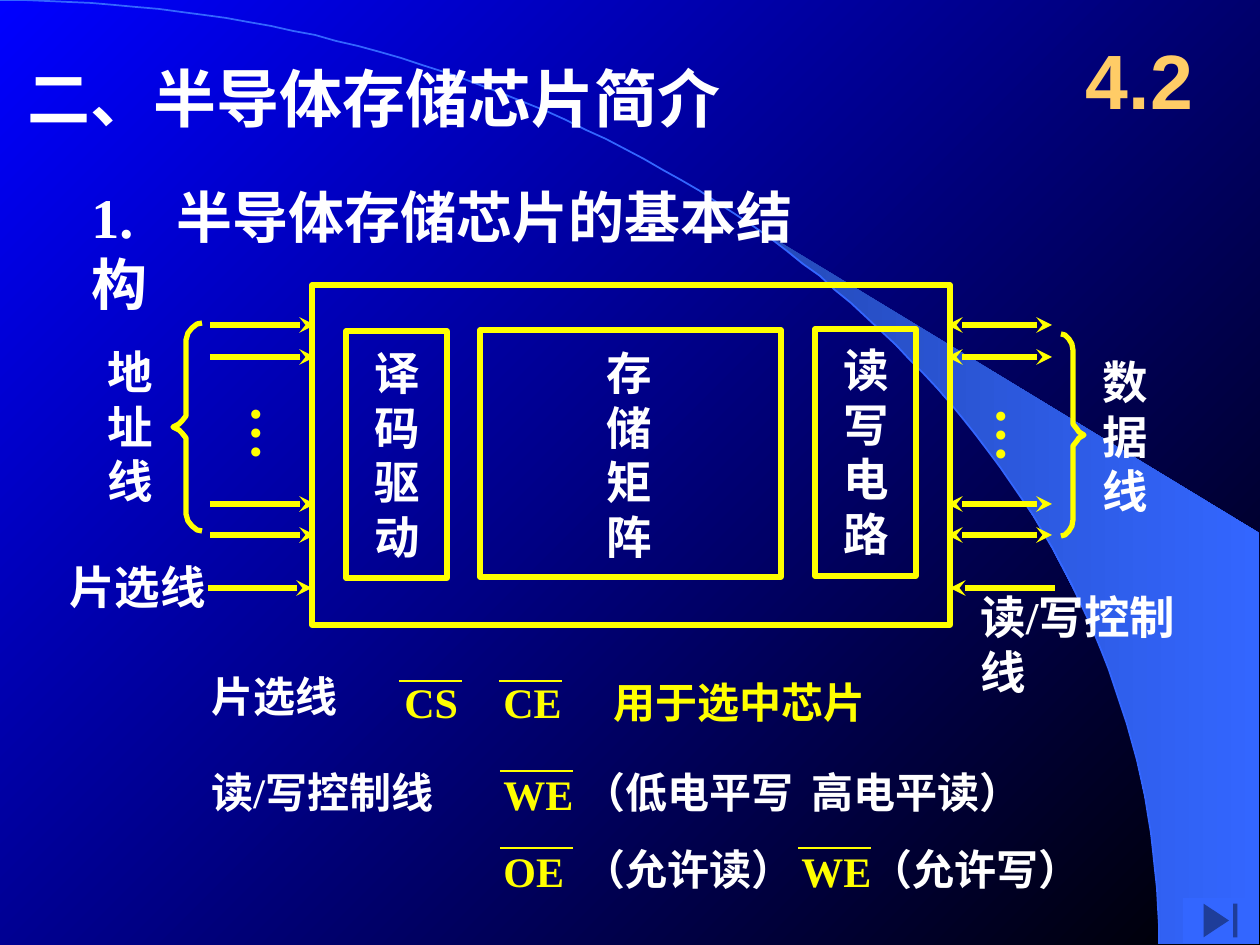
from math import asin, cos, pi, sin
from lxml.etree import SubElement
from pptx import Presentation
from pptx.dml.color import RGBColor
from pptx.enum.shapes import MSO_CONNECTOR, MSO_SHAPE
from pptx.enum.text import MSO_ANCHOR, MSO_AUTO_SIZE, PP_ALIGN
from pptx.oxml.ns import qn
from pptx.util import Pt

PX = 7257.14
WHITE, YELLOW, GOLD, BLUE, DEEP_BLUE = "FFFFFF", "FFFF00", "FFCC66", "3366FF", "2449B6"

TITLE = ("二、半导体存储芯片简介", (15, 53, 721, 88))
CHIP = (312, 285, 638, 340)
BLOCKS = [
    ("译码驱动", (346, 331, 101, 247), (362, 339, 71, 232)),
    ("存储矩阵", (480, 330, 301, 247), (594, 339, 74, 232)),
    ("读写电路", (815, 329, 101, 247), (831, 336, 71, 232)),
]
SIDE_LABELS = [("地址线", (95, 338, 68, 176)), ("数据线", (1090, 348, 71, 176))]
LABELS = [
    ("1.\t半导体存储芯片的基本结构", (79, 176, 735, 80), dict(size=32, wrap=True, tab=85)),
    ("片选线", (57, 553, 163, 67), dict(size=26)),
    ("读/写控制线", (968, 583, 240, 67), dict(size=26, wrap=True)),
    ("…", (223, 393, 92, 69), dict(size=32, color=YELLOW, vertical=True)),
    ("…", (968, 395, 92, 69), dict(size=32, color=YELLOW, vertical=True)),
    ("4.2", (1061, 21, 157, 116),
     dict(size=44, color=GOLD, font="Arial", align=PP_ALIGN.CENTER, anchor=MSO_ANCHOR.MIDDLE)),
    ("片选线", (199, 664, 200, 63), dict(wrap=True)),
    ("读/写控制线", (199, 760, 280, 63), dict(wrap=True)),
    ("（低电平写\t高电平读）", (571, 760, 581, 63), dict(wrap=True, tab=228)),
    ("（允许读）", (571, 837, 307, 63), dict(wrap=True)),
    ("（允许写）", (858, 837, 307, 63), dict(wrap=True)),
]
SIGNALS = [
    ("CS", (392, 670, 79, 63), 399, 63, {}),
    ("CE\t用于选中芯片", (491, 670, 456, 63), 499, 63, dict(wrap=True, tab=110)),
    ("WE", (491, 762, 96, 63), 500, 73, {}),
    ("WE", (789, 839, 96, 63), 798, 73, {}),
    ("OE", (491, 839, 86, 63), 500, 73, {}),
]
BUS_ROWS = [325, 357, 504, 535]
CONTROL_ROW = 588
BRACES = [(202, 173, 427, 104), (1061, 1084, 435, 101)]
BRACE_HALF = [(0, 1), (0.18, 0.99), (0.33, 0.95), (0.48, 0.9), (0.54, 0.84),
              (0.54, 0.16), (0.54, 0.11), (0.68, 0.06), (0.78, 0.03), (1, 0)]
ARC_WIDTH, ARC_HEIGHT = 1159, 944
BAND_START, BAND_RIGHT, BAND_CORNER = 742, 1259, 533


def emu(pixels):
    return round(pixels * PX)


def rgb(value):
    return RGBColor.from_string(value)


def place(shape, box):
    shape.left, shape.top, shape.width, shape.height = map(emu, box)


def gradient(fill, start, end, angle):
    fill.gradient()
    fill.gradient_angle = angle
    for stop, color in zip(fill.gradient_stops, (start, end)):
        stop.color.rgb = rgb(color)


def write(shape, lines, size=24, color=WHITE, font="Times New Roman", wrap=False,
          align=PP_ALIGN.LEFT, anchor=MSO_ANCHOR.TOP, tab=None, vertical=False):
    frame = shape.text_frame
    frame.auto_size = MSO_AUTO_SIZE.NONE
    frame.word_wrap = wrap
    frame.vertical_anchor = anchor
    if vertical:
        frame.element.find(qn("a:bodyPr")).set("vert", "eaVert") if hasattr(frame, "element") else \
            shape.element.find(".//" + qn("a:bodyPr")).set("vert", "eaVert")
    for index, line in enumerate(lines):
        paragraph = frame.paragraphs[0] if index == 0 else frame.add_paragraph()
        paragraph.alignment = align
        if tab:
            tabs = SubElement(paragraph._p.get_or_add_pPr(), qn("a:tabLst"))
            SubElement(tabs, qn("a:tab"), pos=str(emu(tab)), algn="l")
        run = paragraph.add_run()
        run.text = line
        run.font.name, run.font.size, run.font.bold = font, Pt(size), True
        run.font.color.rgb = rgb(color)


def add_text(slide, lines, box, **style):
    write(slide.shapes.add_textbox(*map(emu, box)), lines, **style)


def outline(shape, color, width):
    shape.line.color.rgb = rgb(color)
    shape.line.width = Pt(width)


def add_frame(slide, box):
    shape = slide.shapes.add_shape(MSO_SHAPE.RECTANGLE, *map(emu, box))
    shape.shadow.inherit = False
    shape.fill.background()
    outline(shape, YELLOW, 3)


def add_line(slide, start, end, width=3, arrows=()):
    line = slide.shapes.add_connector(MSO_CONNECTOR.STRAIGHT, *map(emu, start + end))
    outline(line, YELLOW, width)
    for arrow in arrows:
        SubElement(line.line._get_or_add_ln(), qn("a:" + arrow), type="stealth")
    SubElement(line.element.spPr, qn("a:effectLst"))


def add_outline(slide, points, close=False):
    builder = slide.shapes.build_freeform(*points[0], scale=PX)
    builder.add_line_segments(points[1:], close=close)
    shape = builder.convert_to_shape()
    shape.shadow.inherit = False
    shape.fill.background()
    return shape


def arc(start_x, steps):
    first = asin(start_x / ARC_WIDTH)
    angles = [first + (pi / 2 - first) * step / steps for step in range(steps + 1)]
    return [(ARC_WIDTH * sin(angle), ARC_HEIGHT * (1 - cos(angle))) for angle in angles]


def add_backdrop(slide):
    gradient(slide.background.fill, "0000FF", "000000", 315)
    corners = [(BAND_RIGHT, ARC_HEIGHT), (BAND_RIGHT, BAND_CORNER)]
    band = add_outline(slide, arc(BAND_START, 30) + corners, close=True)
    gradient(band.fill, DEEP_BLUE, BLUE, 0)
    band.line.fill.background()
    outline(add_outline(slide, arc(0, 80)), BLUE, 1)


def add_brace(slide, end_x, tip_x, middle, half):
    upper = [(end_x + (tip_x - end_x) * x, middle - half * y) for x, y in BRACE_HALF]
    lower = [(x, 2 * middle - y) for x, y in reversed(upper[:-1])]
    outline(add_outline(slide, upper + lower), YELLOW, 3)


def main():
    presentation = Presentation()
    presentation.slide_width, presentation.slide_height = emu(1260), emu(945)
    slide = presentation.slides.add_slide(presentation.slide_layouts[5])
    add_backdrop(slide)

    title = slide.shapes.title
    title.element.getparent().append(title.element)
    place(title, TITLE[1])
    write(title, [TITLE[0]], size=36)

    add_frame(slide, CHIP)
    for name, frame_box, text_box in BLOCKS:
        add_frame(slide, frame_box)
        add_text(slide, name, text_box, size=26)
    for name, box in SIDE_LABELS:
        add_text(slide, name, box, size=26)
    for text, box, style in LABELS:
        add_text(slide, [text], box, **style)

    for row in BUS_ROWS:
        add_line(slide, (210, row), (315, row), arrows=["tailEnd"])
        add_line(slide, (1052, row), (947, row), arrows=["headEnd", "tailEnd"])
    add_line(slide, (208, CONTROL_ROW), (312, CONTROL_ROW), arrows=["tailEnd"])
    add_line(slide, (1055, CONTROL_ROW), (950, CONTROL_ROW), arrows=["tailEnd"])
    for brace in BRACES:
        add_brace(slide, *brace)

    for text, box, left, width, style in SIGNALS:
        add_text(slide, [text], box, color=YELLOW, **style)
        bar = box[1] + (11 if width == 63 else 9)
        add_line(slide, (left, bar), (left + width, bar), width=1.5)

    button = slide.shapes.add_shape(MSO_SHAPE.ACTION_BUTTON_END, *map(emu, (1183, 898, 75, 45)))
    button.shadow.inherit = False
    button.fill.solid()
    button.fill.fore_color.rgb = rgb(BLUE)
    button.line.fill.background()
    presentation.save("out.pptx")


if __name__ == "__main__":
    main()
